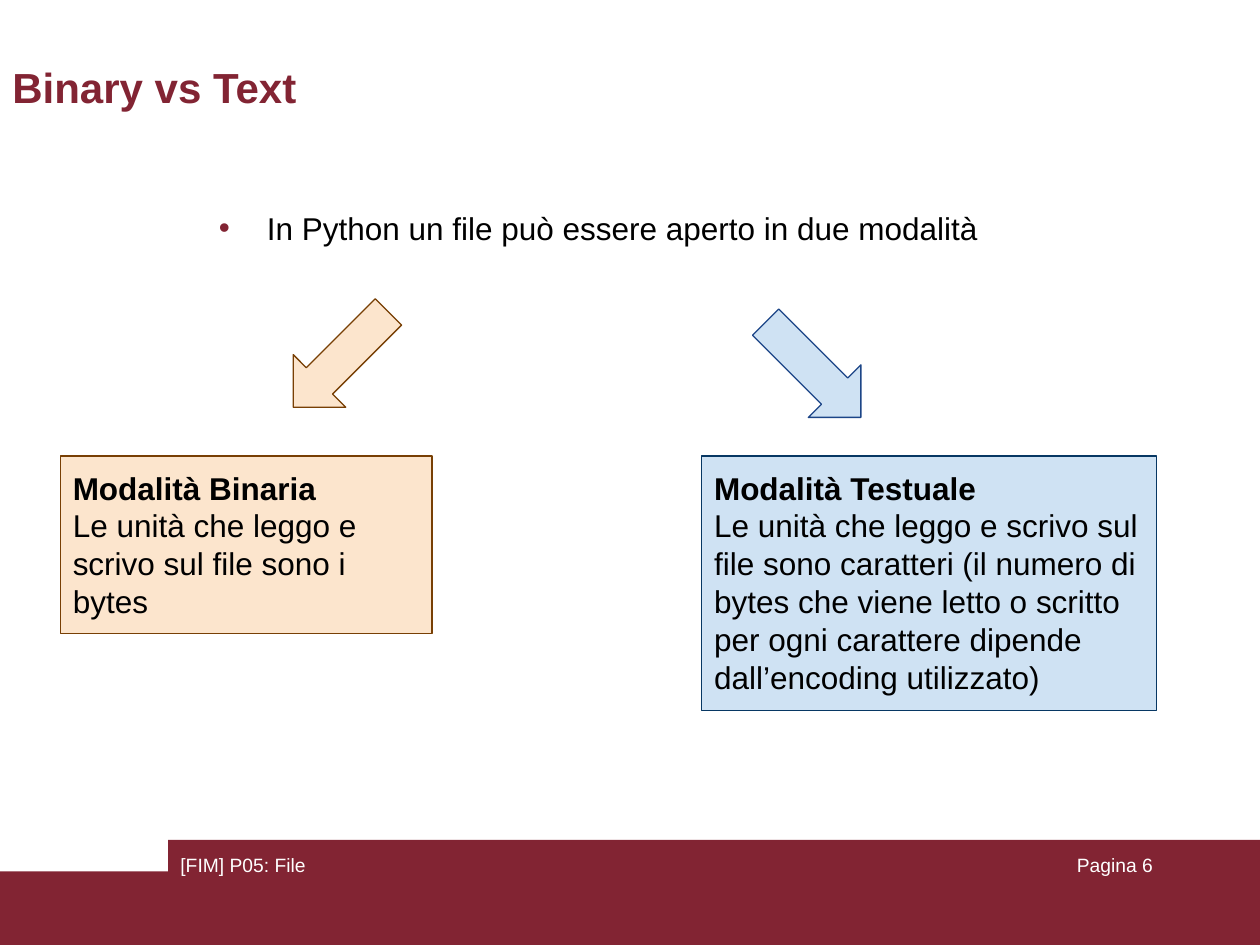
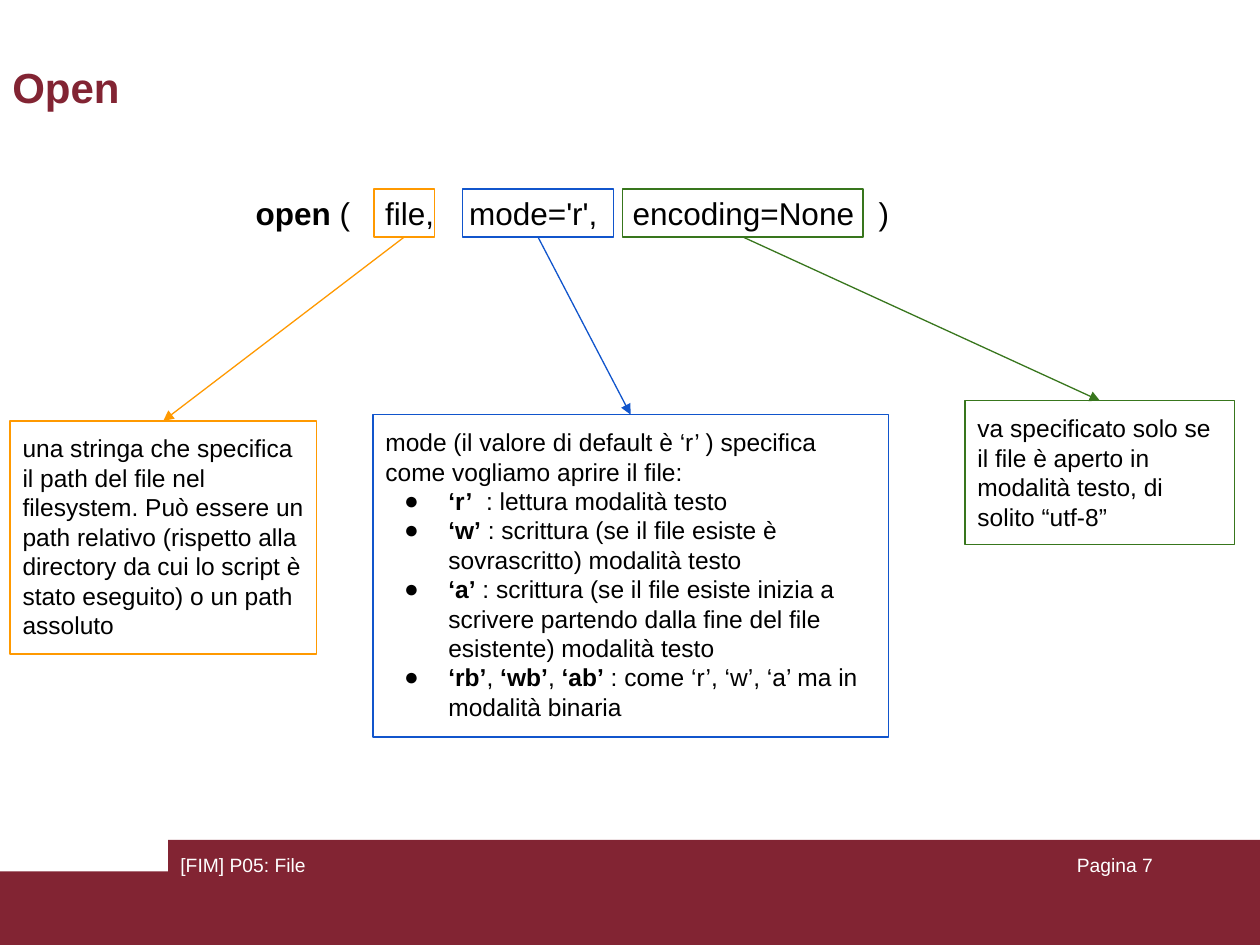
from collections import namedtuple

from lxml.etree import SubElement
from pptx import Presentation
from pptx.dml.color import RGBColor
from pptx.enum.shapes import MSO_CONNECTOR, MSO_SHAPE
from pptx.enum.text import MSO_ANCHOR, MSO_AUTO_SIZE, PP_ALIGN
from pptx.oxml.ns import qn
from pptx.util import Pt

COLORS = {
    "maroon": "822433", "white": "FFFFFF", "black": "000000",
    "peach": "FCE5CD", "brown": "783F04",
    "sky": "CFE2F3", "navy": "073763", "royal": "1C4587",
    "orange": "FF9900", "blue": "1155CC", "green": "38761D",
}
FONT = "Arial"
LINE_WIDTH = 0.75
INSET = 7.2

Box = namedtuple("Box", "left top width height")
Bullet = namedtuple("Bullet", "symbol color hanging")
Argument = namedtuple("Argument", "color left width panel lines bullet")

SLIDE = Box(0, 0, 720, 540)
TITLE = Box(0, 29.5, 595.5, 39.6)
FOOTER = Box(0, 480, 720, 60)
INTRO = Box(109.4, 115.9, 481, 46)
SIGNATURE = Box(139, 103.7, 442.8, 36)
DOT = Bullet("•", "maroon", 27.4)
DISC = Bullet("●", "black", 25.2)


def rgb(name):
    return RGBColor.from_string(COLORS[name])


def points(box):
    return [Pt(length) for length in box]


def add_bullet(paragraph, bullet):
    properties = paragraph._p.get_or_add_pPr()
    properties.set("marL", str(Pt(36)))
    properties.set("indent", str(-Pt(bullet.hanging)))
    color = SubElement(properties, qn("a:buClr"))
    SubElement(color, qn("a:srgbClr"), val=COLORS[bullet.color])
    SubElement(properties, qn("a:buFont"), typeface=FONT)
    SubElement(properties, qn("a:buChar"), char=bullet.symbol)


def add_tab_stops(paragraph, positions):
    tabs = SubElement(paragraph._p.get_or_add_pPr(), qn("a:tabLst"))
    for position in positions:
        SubElement(tabs, qn("a:tab"), pos=str(Pt(position)), algn="l")


def write(shape, lines, size, color="black", align=PP_ALIGN.LEFT,
          vertical_inset=INSET, anchor=MSO_ANCHOR.TOP):
    """Fill the shape with lines, where *asterisks* mark bold words."""
    frame = shape.text_frame
    frame.word_wrap = True
    frame.vertical_anchor = anchor
    frame.margin_left = frame.margin_right = Pt(INSET)
    frame.margin_top = frame.margin_bottom = Pt(vertical_inset)
    for number, line in enumerate(lines):
        paragraph = frame.add_paragraph() if number else frame.paragraphs[0]
        paragraph.alignment = align
        paragraph.font.name = FONT
        paragraph.font.size = Pt(size)
        paragraph.font.color.rgb = rgb(color)
        for part, words in enumerate(line.split("*")):
            if words:
                run = paragraph.add_run()
                run.text = words
                run.font.bold = part % 2 == 1
    return frame


def add_label(slide, box, lines, size, **style):
    return write(slide.shapes.add_textbox(*points(box)), lines, size, **style)


def add_figure(slide, box, fill=None, line=None, kind=MSO_SHAPE.RECTANGLE):
    shape = slide.shapes.add_shape(kind, *points(box))
    shape.shadow.inherit = False
    if fill:
        shape.fill.solid()
        shape.fill.fore_color.rgb = rgb(fill)
    else:
        shape.fill.background()
    if line:
        shape.line.color.rgb = rgb(line)
        shape.line.width = Pt(LINE_WIDTH)
    else:
        shape.line.fill.background()
    return shape


def add_panel(slide, box, lines, size, fill=None, line=None):
    """Add an outlined text panel that grows with its text."""
    panel = add_figure(slide, box, fill, line)
    write(panel, lines, size).auto_size = MSO_AUTO_SIZE.SHAPE_TO_FIT_TEXT
    return panel


def add_arrow(slide, start, end, color):
    """Join the bottom of start to the top of end."""
    arrow = slide.shapes.add_connector(MSO_CONNECTOR.STRAIGHT, 0, 0, 0, 0)
    arrow.begin_connect(start, 2)
    arrow.end_connect(end, 0)
    arrow.line.color.rgb = rgb(color)
    arrow.line.width = Pt(LINE_WIDTH)
    SubElement(arrow.line._get_or_add_ln(), qn("a:tailEnd"), type="triangle")
    SubElement(arrow._element.spPr, qn("a:effectLst"))


def draw_footer(slide, box, page):
    step, tab = 18, 96
    add_figure(slide, Box(box.left, box.top + step, box.width, box.height - step), "maroon")
    add_figure(slide, Box(box.left + tab, box.top, box.width - tab, box.height), "maroon")
    style = {"color": "white", "vertical_inset": 3.6}
    top = box.top + 3.8
    add_label(slide, Box(box.left + tab, top, 228, 36), ["[FIM] P05: File"], 11, **style)
    add_label(slide, Box(box.left + box.width - 204, top, 150, 36), [f"Pagina {page}"], 11,
              align=PP_ALIGN.RIGHT, **style)


def add_page(presentation, title, page):
    slide = presentation.slides.add_slide(presentation.slide_layouts[6])
    draw_footer(slide, FOOTER, page)
    add_label(slide, TITLE, [f"*{title}*"], 24, color="maroon",
              vertical_inset=3.6, anchor=MSO_ANCHOR.MIDDLE)
    return slide


def draw_mode(slide, box, lines, fill, line, arrow_line, arrow_offset, rotation):
    """Draw a mode panel and the block arrow that leads to it."""
    add_panel(slide, box, lines, 18, fill, line)
    across, up = arrow_offset
    arrow_box = Box(box.left + across, box.top - up, 42.5, 77)
    arrow = add_figure(slide, arrow_box, fill, arrow_line, MSO_SHAPE.DOWN_ARROW)
    arrow.rotation = rotation


def draw_signature(slide, box, arguments):
    """Draw the call, a frame round each argument and its explanation."""
    call = add_label(slide, box, ["*open* (\tfile,\tmode='r',\tencoding=None\t)"], 18)
    add_tab_stops(call.paragraphs[0], [74, 122, 215.4, 356])
    for argument in arguments:
        frame_box = Box(box.left + argument.left, box.top + 4.3, argument.width, 27.4)
        frame = add_figure(slide, frame_box, line=argument.color)
        panel = add_panel(slide, argument.panel, argument.lines, 14, line=argument.color)
        if argument.bullet:
            for paragraph in panel.text_frame.paragraphs[1:]:
                add_bullet(paragraph, argument.bullet)
        add_arrow(slide, frame, panel, argument.color)


def build_modes_slide(presentation):
    slide = add_page(presentation, "Binary vs Text", 6)
    intro = add_label(slide, INTRO, ["In Python un file può essere aperto in due modalità"],
                      18, vertical_inset=3.6)
    intro.paragraphs[0].space_before = Pt(3.6)
    add_bullet(intro.paragraphs[0], DOT)
    draw_mode(slide, Box(34.5, 260.6, 212.4, 101.5),
              ["*Modalità Binaria*",
               "Le unità che leggo e scrivo sul file sono i bytes"],
              "peach", "brown", "brown", (139, 93.6), 45)
    draw_mode(slide, Box(401, 260.6, 260, 145.4),
              ["*Modalità Testuale*",
               "Le unità che leggo e scrivo sul file sono caratteri (il numero di bytes "
               "che viene letto o scritto per ogni carattere dipende dall’encoding utilizzato)"],
              "sky", "navy", "royal", (42.5, 87.8), 315)


def build_open_slide(presentation):
    slide = add_page(presentation, "Open", 7)
    draw_signature(slide, SIGNATURE, [
        Argument("orange", 74.8, 34.6, Box(5.8, 240.5, 175, 133.2), [
            "una stringa che specifica il path del file nel filesystem. Può essere un path "
            "relativo (rispetto alla directory da cui lo script è stato eseguito) "
            "o un path assoluto"], None),
        Argument("blue", 125.2, 86.4, Box(213.1, 236.9, 294.5, 184.3), [
            "mode (il valore di default è ‘r’ ) specifica come vogliamo aprire il file:",
            "*‘r’*  : lettura modalità testo",
            "*‘w’* : scrittura (se il file esiste è sovrascritto) modalità testo",
            "*‘a’* : scrittura (se il file esiste inizia a scrivere partendo dalla fine "
            "del file esistente) modalità testo",
            "*‘rb’*, *‘wb’*, *‘ab’* : come ‘r’, ‘w’, ‘a’ ma in modalità binaria"], DISC),
        Argument("green", 216.7, 137.5, Box(551.5, 229, 154.1, 82.1), [
            "va specificato solo se il file è aperto in modalità testo, "
            "di solito “utf-8”"], None),
    ])


def main():
    presentation = Presentation()
    presentation.slide_width = Pt(SLIDE.width)
    presentation.slide_height = Pt(SLIDE.height)
    build_modes_slide(presentation)
    build_open_slide(presentation)
    presentation.save("out.pptx")


if __name__ == "__main__":
    main()
